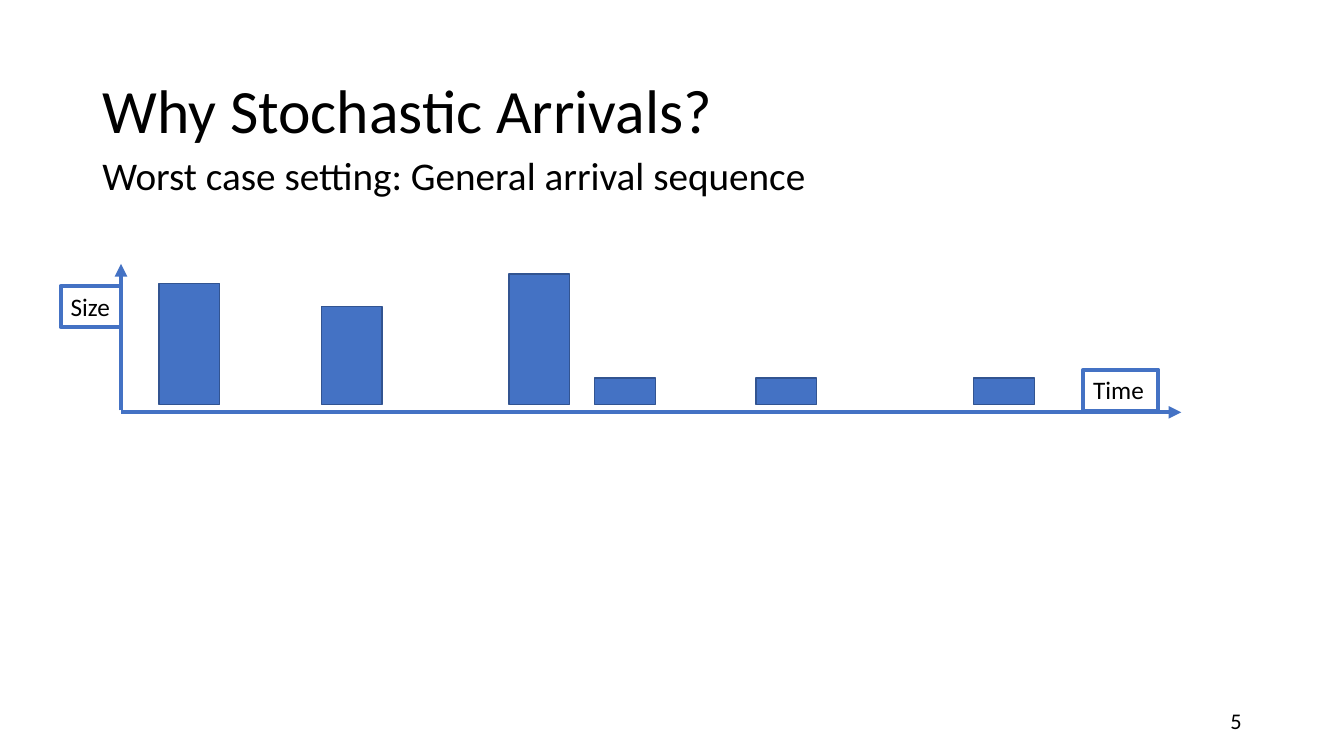
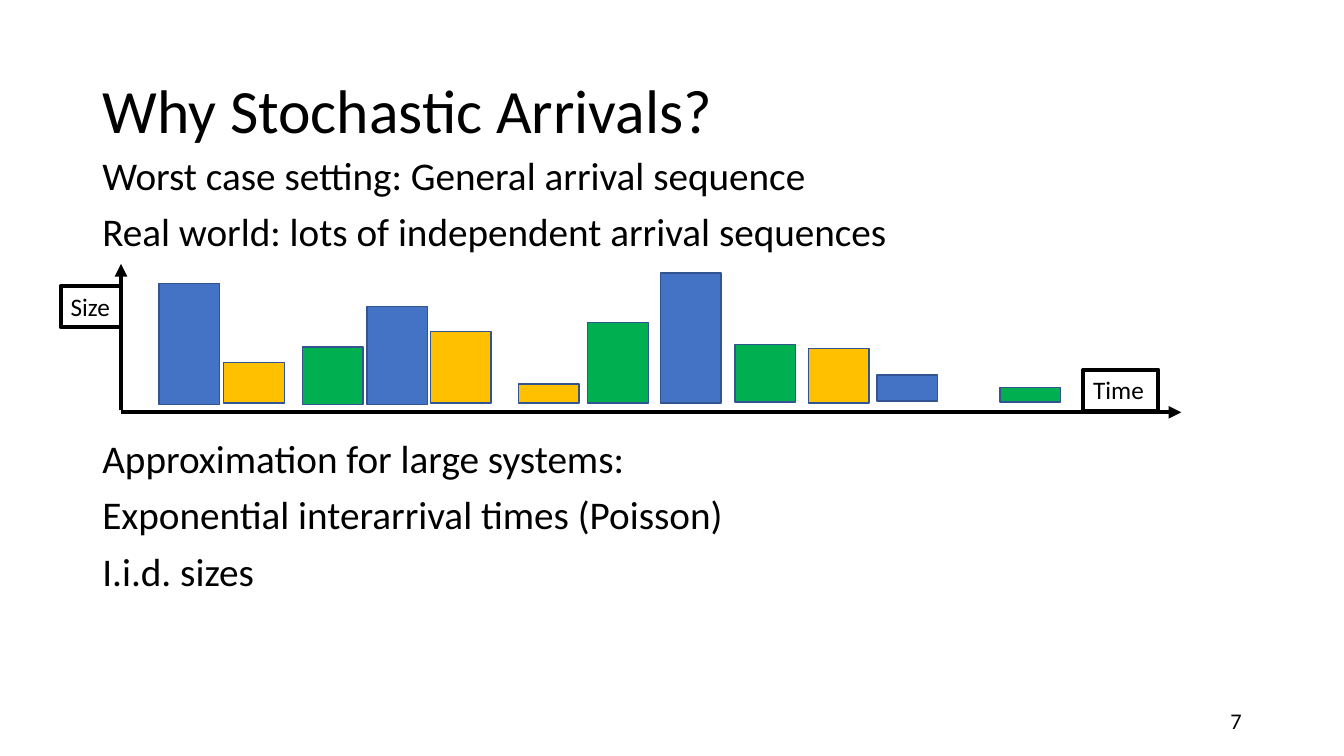
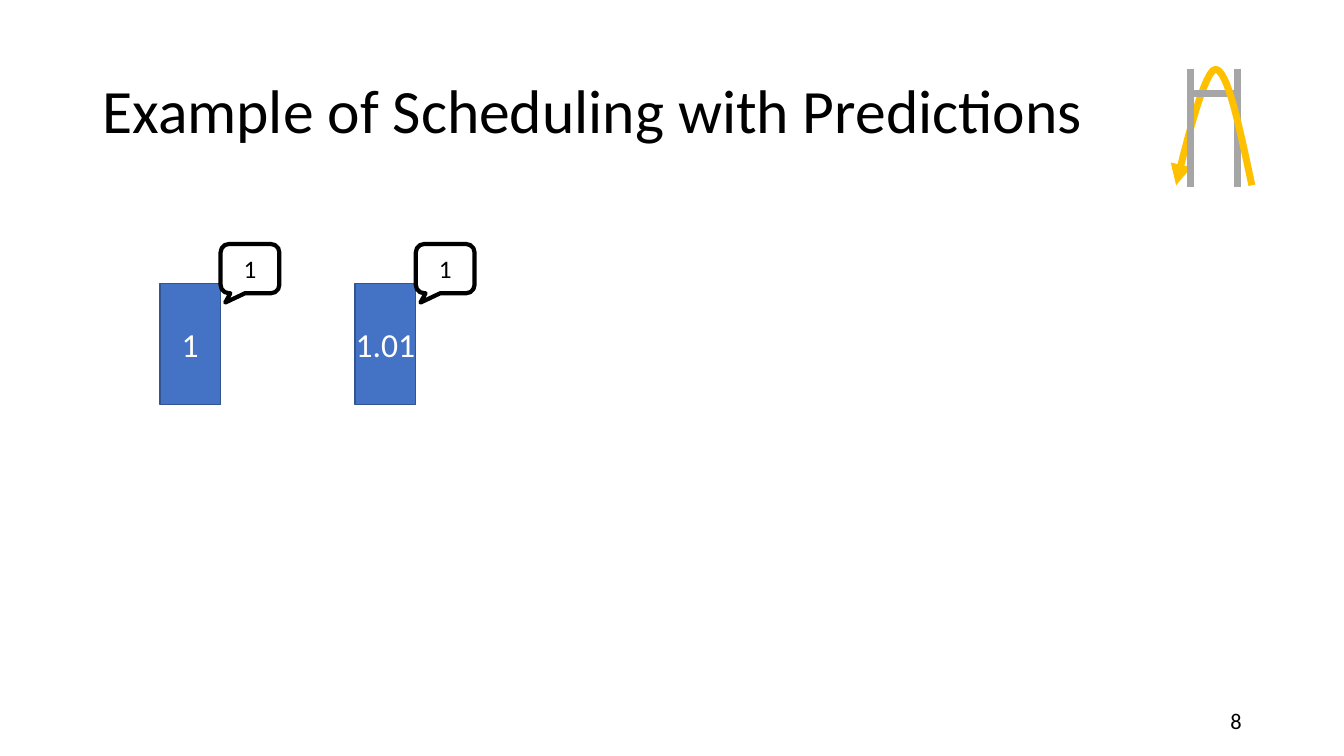
from dataclasses import dataclass
from typing import Optional

from pptx import Presentation
from pptx.dml.color import RGBColor
from pptx.enum.shapes import MSO_CONNECTOR as Connector, MSO_SHAPE as Preset
from pptx.enum.text import MSO_ANCHOR as Anchor, PP_ALIGN as Align
from pptx.oxml.ns import qn
from pptx.oxml.xmlchemy import OxmlElement
from pptx.util import Cm, Pt

FONT = "Calibri"
COLOURS = {
    "black": "000000",
    "white": "FFFFFF",
    "blue": "4472C4",
    "outline": "325491",
    "green": "00B050",
    "gold": "FFC000",
    "grey": "A6A6A6",
}
MARGIN, CONTENT_WIDTH = 2.33, 29.21
JOB_WIDTH = 1.53
FLOOR = 10.19
TITLE = "Why Stochastic Arrivals?"
WORST_CASE = "Worst case setting: General arrival sequence"
Point = tuple[float, float]


@dataclass
class Box:
    """Place and size in centimetres."""
    left: float
    top: float
    width: float
    height: float

    def lengths(self) -> list:
        return [Cm(n) for n in (self.left, self.top, self.width, self.height)]


@dataclass
class Style:
    size: float
    colour: str = "black"
    align: Align = Align.LEFT
    anchor: Anchor = Anchor.TOP
    line_spacing: Optional[float] = None
    space_before: float = 0
    inset: Optional[float] = None
    wrap: bool = True


@dataclass
class Job:
    left: float
    height: float
    colour: str = "blue"
    bottom: float = FLOOR
    size: str = ""


TITLE_STYLE = Style(44, anchor=Anchor.MIDDLE, line_spacing=0.9)
BODY_STYLE = Style(28, line_spacing=0.9, space_before=10)
NUMBER_STYLE = Style(16, align=Align.RIGHT, anchor=Anchor.MIDDLE)
AXIS_STYLE = Style(18, wrap=False)
JOB_STYLE = Style(24, "white", Align.CENTER, Anchor.MIDDLE, inset=0, wrap=False)
PREDICTION_STYLE = Style(18, align=Align.CENTER, anchor=Anchor.MIDDLE, inset=0)


def rgb(name: str) -> RGBColor:
    return RGBColor.from_string(COLOURS[name])


# Text and lines
def write(shape, lines: list[str], style: Style) -> None:
    frame = shape.text_frame
    frame.word_wrap = style.wrap
    frame.vertical_anchor = style.anchor
    if style.inset is not None:
        frame.margin_left = frame.margin_right = Cm(style.inset)
    for index, line in enumerate(lines):
        paragraph = frame.paragraphs[0] if index == 0 else frame.add_paragraph()
        paragraph.text = line
        paragraph.alignment = style.align
        if style.line_spacing:
            paragraph.line_spacing = style.line_spacing
        if index and style.space_before:
            paragraph.space_before = Pt(style.space_before)
        paragraph.font.name = FONT
        paragraph.font.size = Pt(style.size)
        paragraph.font.color.rgb = rgb(style.colour)


def add_text(slide, box: Box, lines: list[str], style: Style) -> None:
    write(slide.shapes.add_textbox(*box.lengths()), lines, style)


def set_line(shape, colour: str, width: float, arrow: bool = False) -> None:
    shape.line.color.rgb = rgb(colour)
    shape.line.width = Pt(width)
    if arrow:
        head = OxmlElement("a:tailEnd")
        head.set("type", "triangle")
        shape.element.spPr.find(qn("a:ln")).append(head)


def add_line(slide, start: Point, end: Point, colour: str, width: float,
             arrow: bool = False) -> None:
    ends = [Cm(n) for n in (*start, *end)]
    line = slide.shapes.add_connector(Connector.STRAIGHT, *ends)
    set_line(line, colour, width, arrow)
    line.element.spPr.append(OxmlElement("a:effectLst"))


def add_preset(slide, preset: Preset, box: Box, fill: Optional[str],
               outline: str, width: float):
    shape = slide.shapes.add_shape(preset, *box.lengths())
    shape.shadow.inherit = False
    if fill:
        shape.fill.solid()
        shape.fill.fore_color.rgb = rgb(fill)
    else:
        shape.fill.background()
    set_line(shape, outline, width)
    return shape


# Parts of the slides
def add_slide(deck, title: str, number: int):
    slide = deck.slides.add_slide(deck.slide_layouts[6])
    add_text(slide, Box(MARGIN, 1.01, CONTENT_WIDTH, 3.68), [title], TITLE_STYLE)
    add_text(slide, Box(23.92, 17.66, 7.62, 1.01), [str(number)], NUMBER_STYLE)
    return slide


def add_body(slide, top: float, height: float, lines: list[str]) -> None:
    add_text(slide, Box(MARGIN, top, CONTENT_WIDTH, height), lines, BODY_STYLE)


def add_job(slide, job: Job) -> None:
    box = Box(job.left, job.bottom - job.height, JOB_WIDTH, job.height)
    bar = add_preset(slide, Preset.RECTANGLE, box, job.colour, "outline", 1)
    if job.size:
        write(bar, [job.size], JOB_STYLE)


def add_axes(slide, colour: str) -> None:
    add_line(slide, (3.05, 10.39), (29.77, 10.39), colour, 3, arrow=True)
    add_line(slide, (3.05, 10.34), (3.05, 6.65), colour, 3, arrow=True)
    for name, box in (("Time", Box(27.3, 9.32, 1.89, 1.03)),
                      ("Size", Box(1.53, 7.21, 1.52, 1.03))):
        label = add_preset(slide, Preset.RECTANGLE, box, None, colour, 3)
        write(label, [name], AXIS_STYLE)


def add_prediction(slide, left: float, value: str) -> None:
    bubble = add_preset(slide, Preset.ROUNDED_RECTANGULAR_CALLOUT,
                        Box(left, 6.15, 1.48, 1.24), "white", "black", 3)
    for index, amount in enumerate((-0.42, 0.69, 0.17)):
        bubble.adjustments[index] = amount
    write(bubble, [value], PREDICTION_STYLE)


def bezier(points: list[Point], steps: int = 16) -> list[Point]:
    """Points along a cubic curve, without its start."""
    curve = []
    for step in range(1, steps + 1):
        t = step / steps
        weights = ((1 - t) ** 3, 3 * t * (1 - t) ** 2, 3 * t * t * (1 - t), t ** 3)
        curve.append(tuple(sum(w * p[axis] for w, p in zip(weights, points))
                           for axis in (0, 1)))
    return curve


def add_hurdle(slide) -> None:
    left, right, top, foot, rail = 30.0, 31.19, 1.73, 4.7, 2.36
    start, peak, landing = (31.55, 4.67), (30.63, 1.75), (29.64, 4.67)
    add_line(slide, (right, top), (right, foot), "grey", 5)
    add_line(slide, (left, rail), (right, rail), "grey", 5)
    # The jump passes in front of the right post and behind the left one
    track = (bezier([start, (31.24, 3.23), (30.94, 1.75), peak])
             + bezier([peak, (30.3, 1.75), landing, landing]))
    builder = slide.shapes.build_freeform(Cm(start[0]), Cm(start[1]))
    builder.add_line_segments([(Cm(x), Cm(y)) for x, y in track], close=False)
    jump = builder.convert_to_shape()
    jump.shadow.inherit = False
    jump.fill.background()
    set_line(jump, "gold", 5, arrow=True)
    add_line(slide, (left, top), (left, foot), "grey", 5)
    add_line(slide, (left, rail), (30.58, rail), "grey", 5)


# Content
SINGLE_SEQUENCE = [
    Job(4.01, 3.05), Job(8.1, 2.46), Job(12.83, 3.28),
    Job(14.99, 0.66), Job(19.05, 0.66), Job(24.54, 0.66),
]
MIXED_SEQUENCES = [
    Job(4.01, 3.05), Job(9.25, 2.46),
    Job(16.64, 3.28, bottom=10.16), Job(22.1, 0.66, bottom=10.11),
    Job(7.62, 1.45, "green"), Job(14.81, 2.03, "green", 10.16),
    Job(18.52, 1.45, "green", 10.13), Job(25.2, 0.36, "green", 10.13),
    Job(5.64, 1.02, "gold", 10.16), Job(10.85, 1.8, "gold", 10.16),
    Job(13.06, 0.48, "gold", 10.16), Job(20.37, 1.37, "gold", 10.16),
]
PREDICTED_JOBS = [Job(4.03, 3.05, size="1"), Job(8.95, 3.05, size="1.01")]


def add_arrivals(deck, number: int, lines: list[str], jobs: list[Job],
                 axis_colour: str):
    slide = add_slide(deck, TITLE, number)
    add_body(slide, 3.81, 2.8, lines)
    for job in jobs:
        add_job(slide, job)
    add_axes(slide, axis_colour)
    return slide


def main() -> None:
    deck = Presentation()
    deck.slide_width, deck.slide_height = Cm(33.87), Cm(19.05)

    # One arrival sequence
    add_arrivals(deck, 5, [WORST_CASE], SINGLE_SEQUENCE, "blue")

    # Many independent sequences
    mixed = add_arrivals(
        deck, 7,
        [WORST_CASE, "Real world: lots of independent arrival sequences"],
        MIXED_SEQUENCES, "black")
    add_body(mixed, 10.95, 4.95, [
        "Approximation for large systems:",
        "Exponential interarrival times (Poisson)",
        "I.i.d. sizes",
    ])

    # Jobs with predicted sizes
    example = add_slide(deck, "Example of Scheduling with Predictions", 8)
    add_hurdle(example)
    for job in PREDICTED_JOBS:
        add_job(example, job)
        add_prediction(example, job.left + JOB_WIDTH, "1")

    deck.save("out.pptx")


if __name__ == "__main__":
    main()
